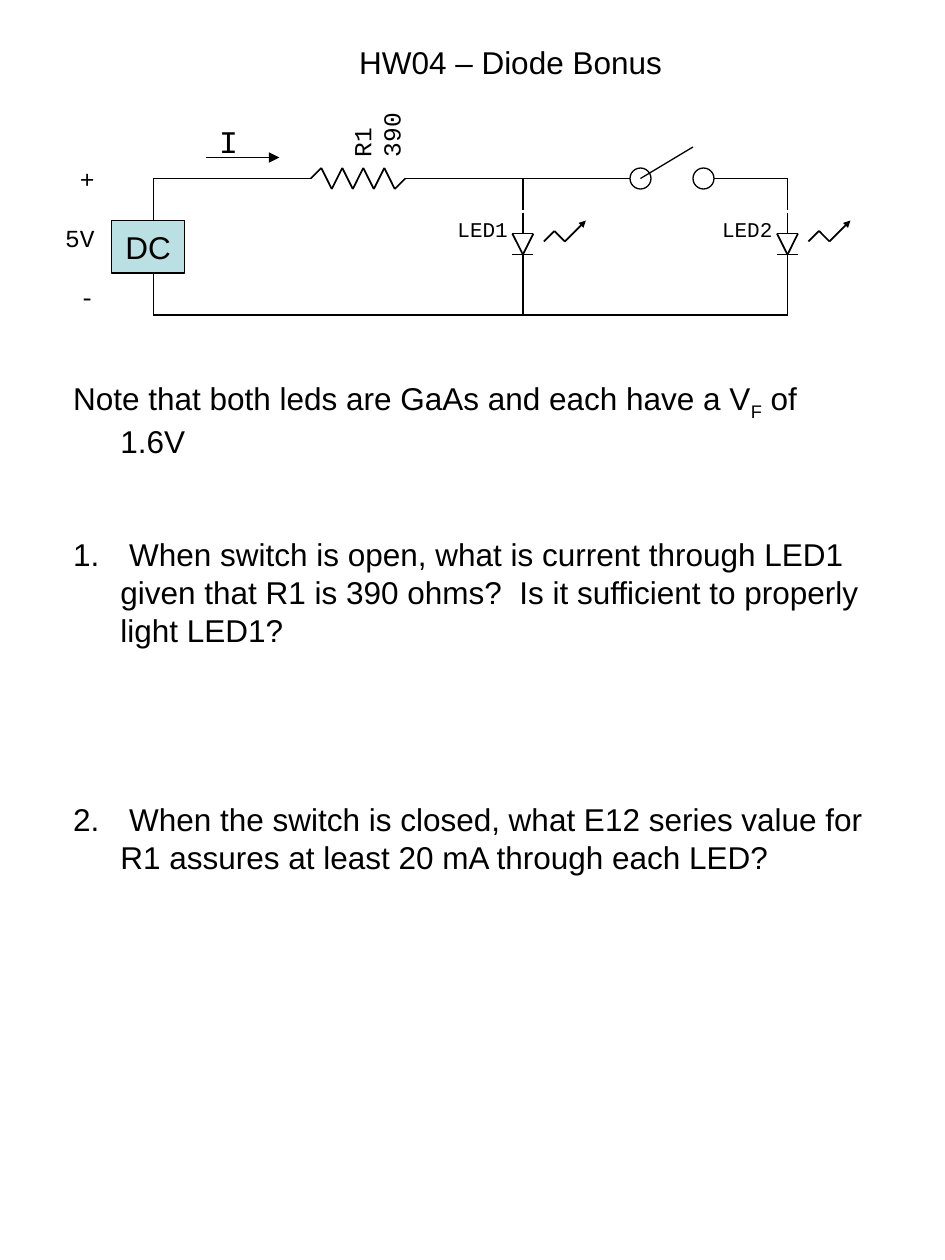
from dataclasses import dataclass
from itertools import pairwise

from lxml.etree import SubElement
from pptx import Presentation
from pptx.dml.color import RGBColor
from pptx.enum.shapes import MSO_CONNECTOR, MSO_SHAPE
from pptx.enum.text import MSO_ANCHOR, MSO_AUTO_SIZE, PP_ALIGN
from pptx.oxml.ns import qn
from pptx.util import Pt

BLACK, WHITE, SOURCE_FILL = "000000", "FFFFFF", "BBE0E3"
SANS, MONO = "Arial", "Courier New"
STEP = 6  # drawing grid
TOP, BOTTOM = 102, 180  # circuit rails
SOURCE_X, RESISTOR_X, SWITCH_X = 87.6, 177.6, 360
RESISTOR_END = RESISTOR_X + 9 * STEP
LED_TOP, LED_BOTTOM = 120, 156

Point = tuple[float, float]


@dataclass
class Led:
    label: str
    x: float


@dataclass
class Label:
    lines: list[str]
    box: tuple[float, float, float, float]
    size: float
    align: PP_ALIGN = PP_ALIGN.LEFT
    gap: float = 0
    rotation: float = 0
    top_inset: float = 3.6


@dataclass
class Item:
    runs: list[tuple[str, bool]]  # text, subscript
    numbered: bool = False
    before: float = 0


LEDS = [Led("LED1", 298.8), Led("LED2", 450)]
ITEMS = [
    Item([("Note that both leds are GaAs and each have a V", False),
          ("F", True), (" of 1.6V", False)]),
    Item([(" When switch is open, what is current through LED1 given that R1 is "
           "390 ohms?  Is it sufficient to properly light LED1?", False)], True, 43),
    Item([(" When the switch is closed, what E12 series value for R1 assures at "
           "least 20 mA through each LED?", False)], True, 86.4),
]


def rgb(color: str) -> RGBColor:
    return RGBColor.from_string(color)


def place(s, left: float, top: float, width: float, height: float) -> None:
    s.left, s.top, s.width, s.height = Pt(left), Pt(top), Pt(width), Pt(height)


def add_run(p, text: str, size: float, font: str):
    r = p.add_run()
    r.text = text
    r.font.size, r.font.name = Pt(size), font
    r.font.color.rgb = rgb(BLACK)
    return r


def add_path(shapes, points: list[Point], weight: float = 0.75, arrow: str = "") -> None:
    """Join the points with straight lines; arrow is the size of a final arrowhead."""
    for (x1, y1), (x2, y2) in pairwise(points):
        s = shapes.add_connector(MSO_CONNECTOR.STRAIGHT, Pt(x1), Pt(y1), Pt(x2), Pt(y2))
        s.line.color.rgb, s.line.width = rgb(BLACK), Pt(weight)
        SubElement(s._element.spPr, qn("a:effectLst"))
    if arrow:
        SubElement(s.line._get_or_add_ln(), qn("a:tailEnd"), type="triangle", w=arrow, len=arrow)


def add_label(shapes, label: Label) -> None:
    s = shapes.add_textbox(*map(Pt, label.box))
    s.rotation = label.rotation
    tf = s.text_frame
    tf.word_wrap = False
    tf.margin_top = Pt(label.top_inset)
    for i, text in enumerate(label.lines):
        p = tf.add_paragraph() if i else tf.paragraphs[0]
        p.alignment = label.align
        p.space_before = Pt(label.gap if i else 0)
        add_run(p, text, label.size, MONO)


def add_shape(shapes, kind: MSO_SHAPE, box: tuple, fill: str):
    s = shapes.add_shape(kind, *map(Pt, box))
    s.shadow.inherit = False
    s.fill.solid()
    s.fill.fore_color.rgb = rgb(fill)
    s.line.color.rgb, s.line.width = rgb(BLACK), Pt(0.75)
    return s


def add_led(shapes, led: Led) -> None:
    g = shapes.add_group_shape().shapes
    x, anode, cathode = led.x, 133.5, 145.5
    left, right = x - STEP, x + STEP
    add_path(g, [(left, anode), (right, anode), (x, cathode), (left, anode)], 1)
    add_path(g, [(left, cathode), (right, cathode)], 1)
    add_path(g, [(x, LED_TOP + 1.5), (x, anode)], 1)
    add_path(g, [(x, cathode), (x, LED_BOTTOM + 1.5)], 1)
    add_path(g, [(x + 12, 138), (x + 18, 132), (x + 24, 138), (x + 36, 126)], 1, "sm")
    add_label(g, Label([led.label], (x - 44.6, LED_TOP, 43.2, 36), 12, PP_ALIGN.CENTER))


def add_resistor(shapes) -> None:
    g = shapes.add_group_shape().shapes
    peaks = [(RESISTOR_X + i * STEP, TOP + (-STEP if i % 2 else STEP)) for i in range(1, 9)]
    add_path(g, [(RESISTOR_X, TOP), *peaks, (RESISTOR_END, TOP)], 1)
    add_label(g, Label(["R1", "390"], (189.4, 50.4, 39.6, 53.3), 14,
                       rotation=270, top_inset=15.6))


def fill_title(s) -> None:
    place(s, 198, 20.9, 200, 28.8)
    tf = s.text_frame
    tf.word_wrap, tf.auto_size = False, MSO_AUTO_SIZE.NONE
    tf.vertical_anchor = MSO_ANCHOR.TOP
    p = tf.paragraphs[0]
    p.alignment = PP_ALIGN.LEFT
    add_run(p, "HW04 – Diode Bonus", 18, SANS)


def fill_body(s) -> None:
    place(s, 34.6, 213.1, 469.4, 355.7)
    tf = s.text_frame
    tf.word_wrap, tf.auto_size = True, MSO_AUTO_SIZE.NONE
    for i, item in enumerate(ITEMS):
        p = tf.add_paragraph() if i else tf.paragraphs[0]
        p.space_before = Pt(item.before)
        pPr = p._p.get_or_add_pPr()
        pPr.set("marL", str(Pt(27)))
        pPr.set("indent", str(-Pt(27)))
        if item.numbered:
            SubElement(pPr, qn("a:buFont"), typeface=SANS)
            SubElement(pPr, qn("a:buAutoNum"), type="arabicPeriod")
        else:
            SubElement(pPr, qn("a:buNone"))
        for text, subscript in item.runs:
            r = add_run(p, text, 18, SANS)
            if subscript:
                r.font._element.set("baseline", "-25000")


def main() -> None:
    prs = Presentation()
    prs.slide_width, prs.slide_height = Pt(540), Pt(720)
    slide = prs.slides.add_slide(prs.slide_layouts[1])
    shapes = slide.shapes
    fill_title(shapes.title)
    fill_body(slide.placeholders[1])

    # Voltage source
    s = add_shape(shapes, MSO_SHAPE.RECTANGLE, (63.6, 126, 42, 30), SOURCE_FILL)
    s.text_frame.word_wrap = False
    p = s.text_frame.paragraphs[0]
    p.alignment = PP_ALIGN.CENTER
    add_run(p, "DC", 18, SANS)
    add_label(shapes, Label(["+", "5V", "-"], (30.2, 90, 31, 91.4), 14, PP_ALIGN.RIGHT, 17))

    # Wires
    add_path(shapes, [(SOURCE_X, 126), (SOURCE_X, TOP), (RESISTOR_X, TOP)])
    add_path(shapes, [(RESISTOR_END, TOP), (SWITCH_X, TOP)])
    add_path(shapes, [(SOURCE_X, 156), (SOURCE_X, BOTTOM), (LEDS[-1].x, BOTTOM)])
    add_path(shapes, [(SWITCH_X + 48, TOP), (LEDS[-1].x, TOP)])

    # Components
    add_resistor(shapes)
    for led in LEDS:
        add_path(shapes, [(led.x, TOP), (led.x, LED_TOP)])
        add_path(shapes, [(led.x, LED_BOTTOM), (led.x, BOTTOM)])
        add_led(shapes, led)

    # Switch
    for x in (SWITCH_X, SWITCH_X + 36):
        add_shape(shapes, MSO_SHAPE.OVAL, (x, TOP - STEP, 12, 12), WHITE)
    add_path(shapes, [(SWITCH_X + 6, TOP), (SWITCH_X + 36, 84)])

    # Current direction
    add_path(shapes, [(117.6, 90), (159.6, 90)], arrow="med")
    add_label(shapes, Label(["I"], (118.1, 66.2, 25.2, 28.8), 18))

    prs.save("out.pptx")


if __name__ == "__main__":
    main()
